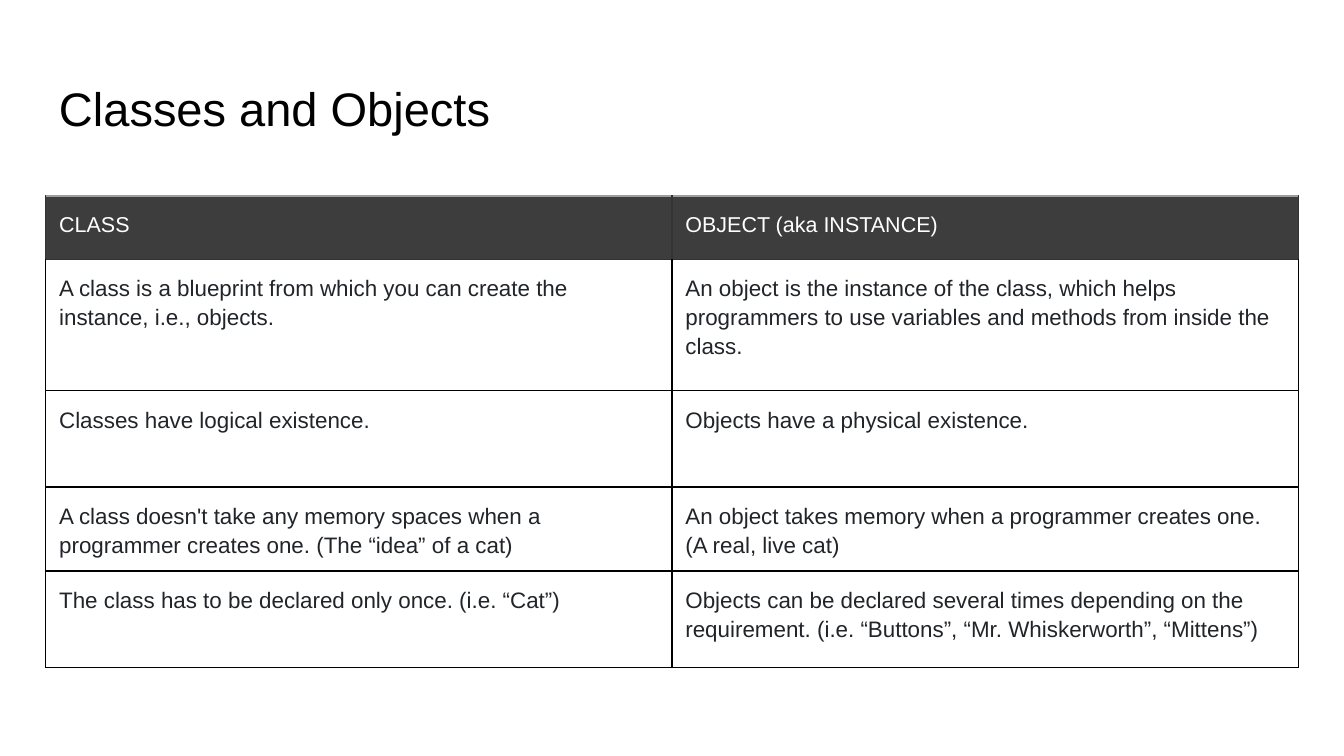
from pptx import Presentation
from pptx.dml.color import RGBColor
from pptx.enum.text import MSO_ANCHOR
from pptx.oxml import parse_xml
from pptx.oxml.ns import nsdecls
from pptx.util import Pt


def add_run(p, text, size, color):
    r = p.add_run()
    r.text = text
    r.font.name = "Arial"
    r.font.size = Pt(size)
    r.font.color.rgb = RGBColor.from_string(color)


def set_border(cell, side, color):
    cell._tc.get_or_add_tcPr().append(parse_xml(
        f'<a:ln{side} {nsdecls("a")} w="{Pt(0.75)}"><a:solidFill>'
        f'<a:srgbClr val="{color}"/></a:solidFill></a:ln{side}>'))


prs = Presentation()
prs.slide_width, prs.slide_height = Pt(720), Pt(405)
s = prs.slides.add_slide(prs.slide_layouts[6])

tf = s.shapes.add_textbox(Pt(24.5), Pt(35), Pt(671), Pt(45)).text_frame
tf.word_wrap = True
tf.vertical_anchor = MSO_ANCHOR.MIDDLE
tf.margin_left = tf.margin_right = tf.margin_top = tf.margin_bottom = Pt(7.2)
add_run(tf.paragraphs[0], "Classes and Objects", 25.2, "000000")

rows = [
    ("CLASS", "OBJECT (aka INSTANCE)"),
    ("A class is a blueprint from which you can create the instance, i.e., objects.",
     "An object is the instance of the class, which helps programmers to use "
     "variables and methods from inside the class."),
    ("Classes have logical existence.", "Objects have a physical existence."),
    ("A class doesn't take any memory spaces when a programmer creates one. "
     "(The “idea” of a cat)",
     "An object takes memory when a programmer creates one. (A real, live cat)"),
    ("The class has to be declared only once. (i.e. “Cat”)",
     "Objects can be declared several times depending on the requirement. "
     "(i.e. “Buttons”, “Mr. Whiskerworth”, “Mittens”)"),
]
heights = [34, 70.3, 51.7, 45, 51.7]

tbl = s.shapes.add_table(len(rows), 2, Pt(24.5), Pt(105), Pt(671), Pt(sum(heights))).table
tbl.first_row = tbl.horz_banding = False
for col in tbl.columns:
    col.width = Pt(335.5)

for i, (texts, height) in enumerate(zip(rows, heights)):
    tbl.rows[i].height = Pt(height)
    edge = "333333" if i == 0 else "000000"
    top = {0: "9E9E9E", 1: "333333"}.get(i, "000000")
    for j, text in enumerate(texts):
        cell = tbl.cell(i, j)
        cell.margin_left = cell.margin_right = cell.margin_top = Pt(7.2)
        cell.margin_bottom = Pt(4)
        for side, color in zip("LRTB", (edge, edge, top, edge)):
            set_border(cell, side, color)
        p = cell.text_frame.paragraphs[0]
        p.line_spacing = 1.15
        p.space_after = Pt(0 if i == 2 else 11)
        if i == 0:
            cell.fill.solid()
            cell.fill.fore_color.rgb = RGBColor.from_string("3D3D3D")
            add_run(p, text, 11.5, "FFFFFF")
        else:
            cell.fill.background()
            add_run(p, text, 12, "212529")

prs.save("out.pptx")
